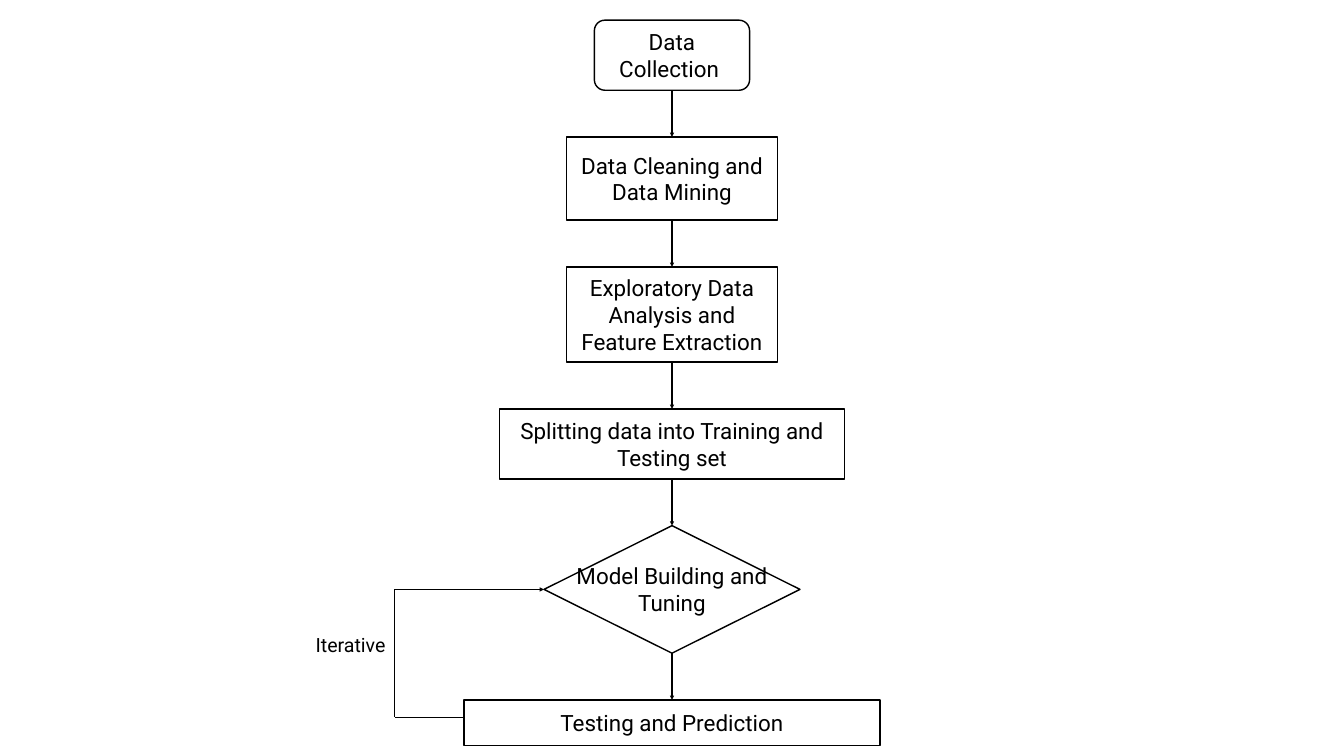
"""Build a one-page flowchart of a machine learning workflow."""
from dataclasses import dataclass

from lxml import etree
from pptx import Presentation
from pptx.dml.color import RGBColor
from pptx.enum.shapes import MSO_CONNECTOR, MSO_SHAPE
from pptx.enum.text import MSO_ANCHOR, MSO_AUTO_SIZE, PP_ALIGN
from pptx.oxml.ns import qn
from pptx.util import Inches, Pt

RECTANGLE = MSO_SHAPE.RECTANGLE
ROUNDED = MSO_SHAPE.ROUNDED_RECTANGLE
STRAIGHT = MSO_CONNECTOR.STRAIGHT
MIDDLE = MSO_ANCHOR.MIDDLE
CENTER = PP_ALIGN.CENTER
FIT_SHAPE = MSO_AUTO_SIZE.SHAPE_TO_FIT_TEXT
TOP_SIDE, BOTTOM_SIDE = 0, 2


@dataclass(frozen=True)
class Theme:
    ink: RGBColor = RGBColor(0, 0, 0)
    paper: RGBColor = RGBColor(255, 255, 255)
    font: str = "Roboto"
    step_size: Pt = Pt(32)
    label_size: Pt = Pt(28)
    stroke: Pt = Pt(2)
    inset: Inches = Inches(0.06)


theme = Theme()
deck = Presentation()
deck.slide_width, deck.slide_height = Inches(26.67), Inches(15)
page = deck.slides.add_slide(deck.slide_layouts[6])
COLUMN, ROW = deck.slide_width / 100, deck.slide_height / 100


def write(box, text, size):
    frame = box.text_frame
    frame.text = text
    frame.vertical_anchor = MIDDLE
    frame.margin_left = frame.margin_right = theme.inset
    frame.margin_top = frame.margin_bottom = theme.inset
    para = frame.paragraphs[0]
    para.alignment = CENTER
    font = para.runs[0].font
    font.name, font.size = theme.font, size
    font.color.rgb = theme.ink


def connect(start, end, arrow=True):
    points = [round(value * unit) for value, unit in zip(start + end, (COLUMN, ROW) * 2)]
    connector = page.shapes.add_connector(STRAIGHT, *points)
    connector.line.color.rgb = theme.ink
    connector.line.width = theme.stroke
    if arrow:
        outline = connector.line._get_or_add_ln()
        etree.SubElement(outline, qn("a:tailEnd"), type="triangle")
    etree.SubElement(connector._element.spPr, qn("a:effectLst"))
    return connector


AXIS, FIRST_TOP, GAP = 50, 2.67, 6.18
DECISION = "diamond"
steps = [
    ("Data Collection ", ROUNDED, 11.55, 9.27),
    ("Data Cleaning and Data Mining", RECTANGLE, 15.71, 11),
    ("Exploratory Data Analysis and Feature Extraction", RECTANGLE, 15.71, 12.6),
    ("Splitting data into Training and Testing set", RECTANGLE, 25.69, 9.27),
    ("Model Building and Tuning", DECISION, 19.05, 16.87),
    ("Testing and Prediction", RECTANGLE, 30.97, 6),
]

top = FIRST_TOP
previous_box, previous_kind = None, None
for text, kind, width, height in steps:
    left, right = AXIS - width / 2, AXIS + width / 2
    middle, bottom = top + height / 2, top + height
    if kind == DECISION:
        corners = [(AXIS, top), (left, middle), (AXIS, bottom), (right, middle)]
        corners = [(round(x * COLUMN), round(y * ROW)) for x, y in corners]
        builder = page.shapes.build_freeform(*corners[0])
        builder.add_line_segments(corners[1:], close=True)
        box = builder.convert_to_shape()
        decision_side = (left, middle)
    else:
        box = page.shapes.add_shape(
            kind, round(left * COLUMN), round(top * ROW),
            round(width * COLUMN), round(height * ROW))
    if kind == ROUNDED:
        box.adjustments[0] = 0.15
    box.shadow.inherit = False
    box.fill.solid()
    box.fill.fore_color.rgb = theme.paper
    box.line.color.rgb = theme.ink
    box.line.width = theme.stroke
    box.text_frame.word_wrap = True
    write(box, text, theme.step_size)
    if previous_box is not None:
        arrow = connect((AXIS, top - GAP), (AXIS, top))
        if previous_kind != DECISION:
            arrow.begin_connect(previous_box, BOTTOM_SIDE)
        if kind != DECISION:
            arrow.end_connect(box, TOP_SIDE)
    previous_box, previous_kind = box, kind
    top = bottom + GAP

LOOP_COLUMN, LOOP_ROW = 29.36, 94.87
upper_corner = (LOOP_COLUMN, decision_side[1])
lower_corner = (LOOP_COLUMN, LOOP_ROW)
connect((left, LOOP_ROW), lower_corner, arrow=False)
connect(lower_corner, upper_corner, arrow=False)
connect(upper_corner, decision_side)

label = page.shapes.add_textbox(
    round(23.25 * COLUMN), round(83.4 * ROW), round(5.66 * COLUMN), round(3.8 * ROW))
label.text_frame.word_wrap = False
label.text_frame.auto_size = FIT_SHAPE
write(label, "Iterative", theme.label_size)

deck.save("out.pptx")
